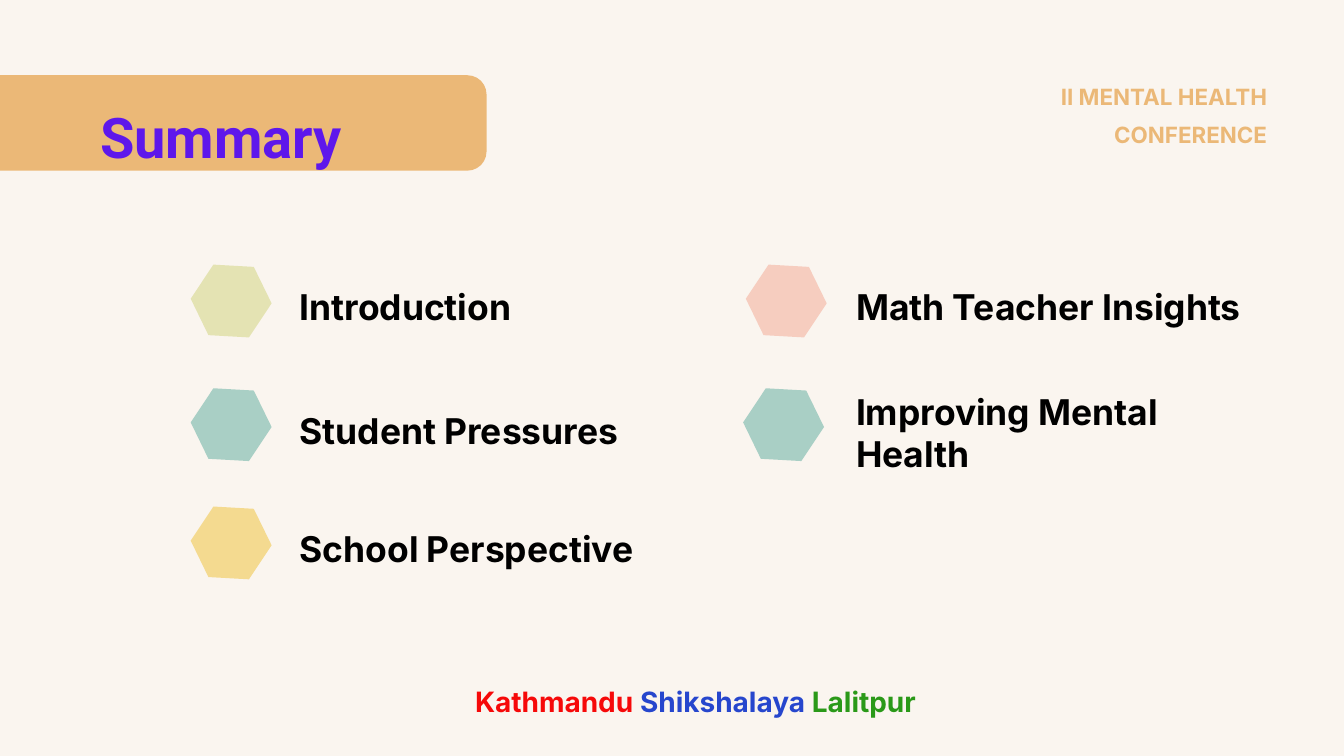
from pptx import Presentation
from pptx.dml.color import RGBColor
from pptx.enum.shapes import MSO_SHAPE
from pptx.enum.text import MSO_ANCHOR, MSO_AUTO_SIZE, PP_ALIGN
from pptx.util import Inches, Pt

CREAM = RGBColor(0xFA, 0xF5, 0xEF)
ORANGE = RGBColor(0xEB, 0xB8, 0x77)
VIOLET = RGBColor(0x5E, 0x17, 0xEB)
BLACK = RGBColor(0x00, 0x00, 0x00)
LIME = RGBColor(0xE4, 0xE3, 0xB3)
TEAL = RGBColor(0xA9, 0xCF, 0xC5)
YELLOW = RGBColor(0xF4, 0xDA, 0x90)
PINK = RGBColor(0xF6, 0xCD, 0xBF)
RED = RGBColor(0xF6, 0x09, 0x09)
BLUE = RGBColor(0x26, 0x46, 0xCD)
GREEN = RGBColor(0x2A, 0x99, 0x18)

prs = Presentation()
prs.slide_width = Inches(10)
prs.slide_height = prs.slide_width * 9 // 16
s = prs.slides.add_slide(prs.slide_layouts[5])
s.background.fill.solid()
s.background.fill.fore_color.rgb = CREAM


def write(sp, runs, size, name="Inter", anchor=MSO_ANCHOR.TOP, **paragraph):
    """Fill a shape with one paragraph of (text, colour) runs."""
    tf = sp.text_frame
    frame = dict(word_wrap=True, auto_size=MSO_AUTO_SIZE.NONE, vertical_anchor=anchor,
                 margin_left=0, margin_right=0, margin_top=0, margin_bottom=0)
    for key, value in frame.items():
        setattr(tf, key, value)
    p = tf.paragraphs[0]
    for key, value in paragraph.items():
        setattr(p, key, value)
    for text, colour in runs:
        r = p.add_run()
        r.text = text
        for key, value in dict(size=Pt(size), name=name, bold=True).items():
            setattr(r.font, key, value)
        r.font.color.rgb = colour


def paint(sp, colour):
    sp.shadow.inherit = False
    sp.fill.solid()
    sp.fill.fore_color.rgb = colour
    sp.line.fill.background()


# Title on a tab that runs in from the left edge
tab_left, tab_width = Inches(-0.33), Inches(3.95)
tab = s.shapes.add_shape(MSO_SHAPE.ROUNDED_RECTANGLE,
                         tab_left, Inches(0.56), tab_width, Inches(0.71))
tab.adjustments[0] = 0.2
paint(tab, ORANGE)
title = s.shapes.title
title.left, title.top = tab_left, Inches(0.76)
title.width, title.height = tab_width, Inches(0.51)
write(title, [("Summary", VIOLET)], 30, "Roboto", MSO_ANCHOR.MIDDLE,
      alignment=PP_ALIGN.CENTER)
s.shapes._spTree.append(title._element)  # in front of the tab

# Topics: a tilted hexagon and a label, on a grid of two columns and three rows
ROWS = (2.24, 3.16, 4.04)  # hexagon centres
LABEL_COLS = (2.23, 6.37)
HEX_W, HEX_H, LINE_H = 0.52, 0.61, 0.32
HEXAGON = [(0.5, 0), (1, 0.25), (1, 0.75), (0.5, 1), (0, 0.75), (0, 0.25)]
topics = [  # column, row, hexagon left, colour, label, lines
    (0, 0, 1.46, LIME, "Introduction", 1),
    (0, 1, 1.46, TEAL, "Student Pressures", 1),
    (0, 2, 1.46, YELLOW, "School Perspective", 1),
    (1, 0, 5.59, PINK, "Math Teacher Insights", 1),
    (1, 1, 5.57, TEAL, "Improving Mental Health", 2),
]
for col, row, left, colour, label, lines in topics:
    top = ROWS[row] - HEX_H / 2
    corners = [(Inches(left + x * HEX_W), Inches(top + y * HEX_H)) for x, y in HEXAGON]
    outline = s.shapes.build_freeform(*corners[0])
    outline.add_line_segments(corners[1:], close=True)
    hexagon = outline.convert_to_shape()
    hexagon.rotation = 33.6
    paint(hexagon, colour)

    label_top = ROWS[row] + 0.02 - 0.14 * lines
    box = s.shapes.add_textbox(Inches(LABEL_COLS[col]), Inches(label_top),
                               Inches(3.07), Inches(lines * LINE_H))
    write(box, [(label, BLACK)], 19)

# Event name and footer
event = s.shapes.add_textbox(Inches(7.36), Inches(0.54), Inches(2.07), Inches(0.48))
write(event, [("II MENTAL HEALTH CONFERENCE", ORANGE)], 12,
      alignment=PP_ALIGN.RIGHT, line_spacing=1.4)
footer = s.shapes.add_textbox(Inches(2.66), Inches(5.09), Inches(5.03), Inches(0.25))
write(footer, [("Kathmandu ", RED), ("Shikshalaya ", BLUE), ("Lalitpur", GREEN)], 15,
      alignment=PP_ALIGN.CENTER)

prs.save("out.pptx")
